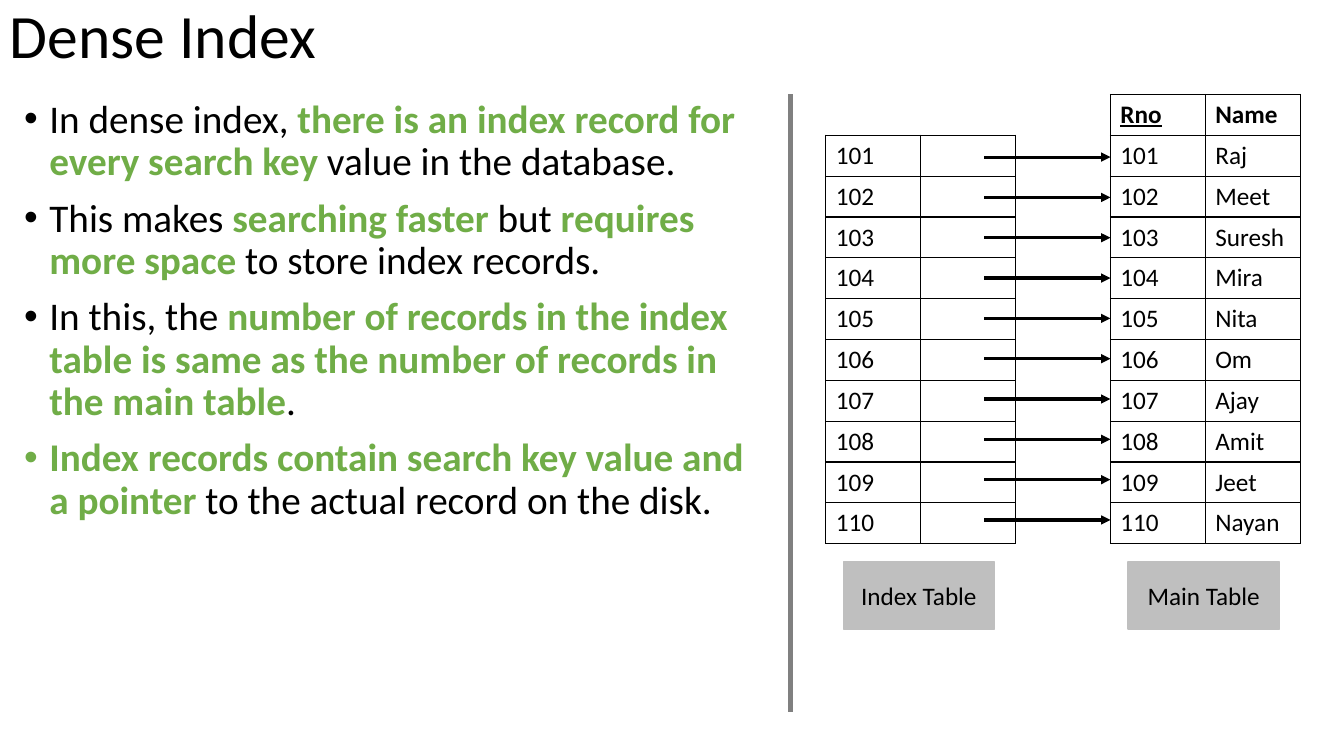
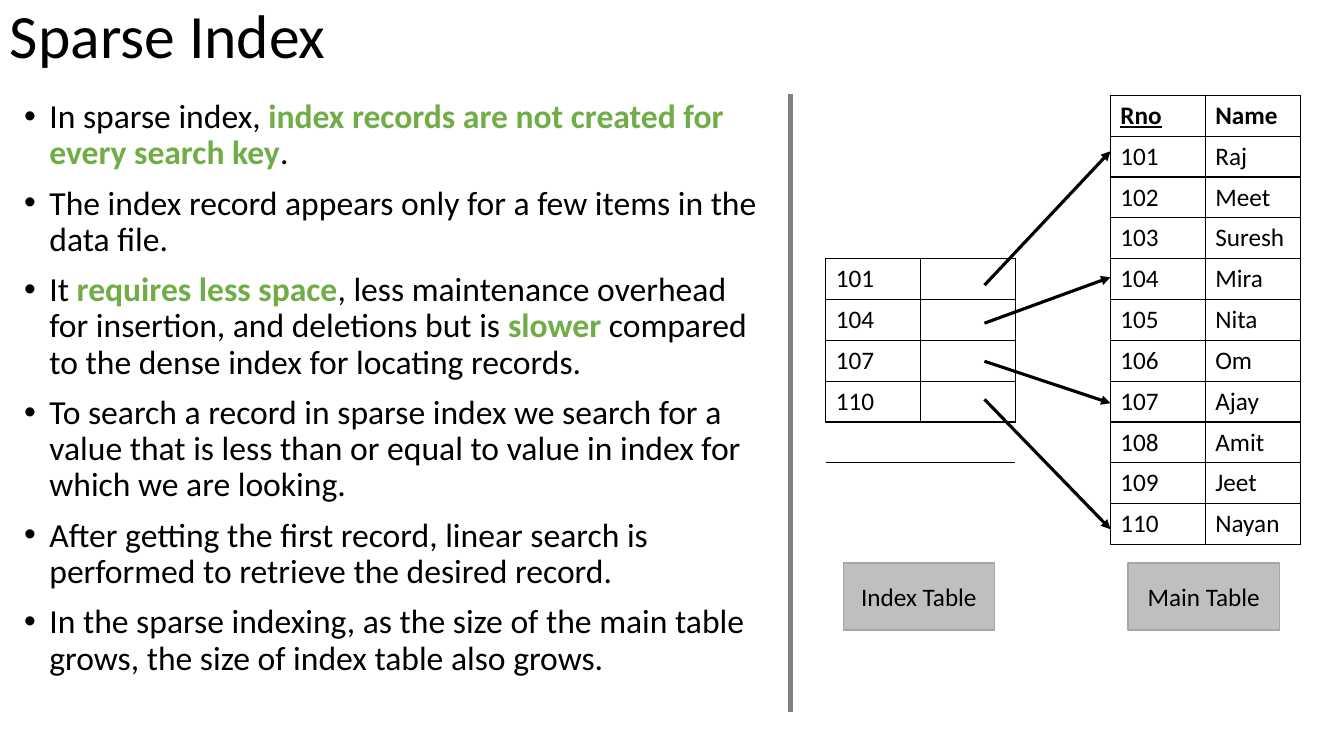
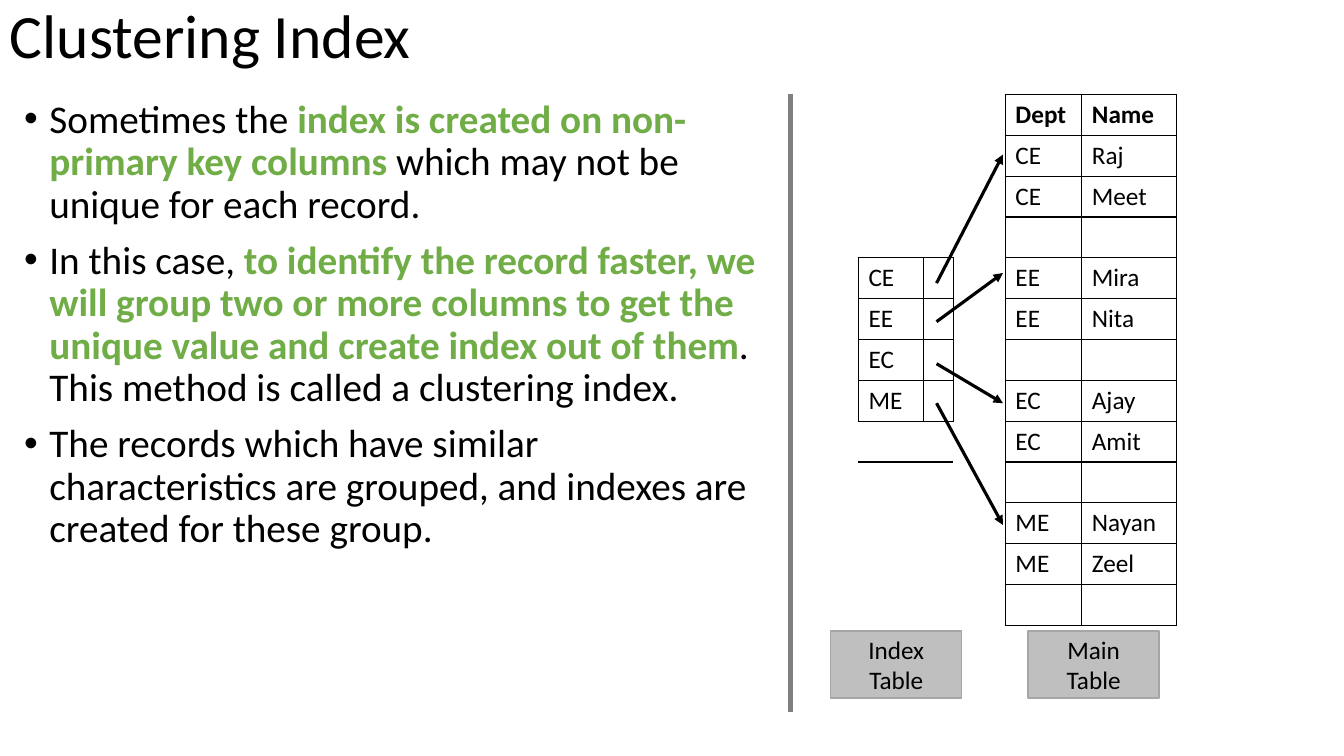
from lxml import etree
from pptx import Presentation
from pptx import util as u
from pptx.dml.color import RGBColor
from pptx.enum import shapes, text
from pptx.oxml import parse_xml
from pptx.oxml.ns import nsdecls, qn

FONT = "Calibri"
BLACK = RGBColor(0x00, 0x00, 0x00)
GREEN = RGBColor(0x70, 0xAD, 0x47)
GRAY = RGBColor(0x80, 0x80, 0x80)
LABEL_FILL = RGBColor(0xBF, 0xBF, 0xBF)
LABEL_EDGE = RGBColor(0xA6, 0xA6, 0xA6)
NO_TABLE_STYLE = "{2D5ABB26-0587-4C30-8999-92F81FD0307C}"
SIDES = {"lnL": (0, -1), "lnR": (0, 1), "lnT": (-1, 0), "lnB": (1, 0)}

presentation = Presentation()
presentation.slide_width = u.Emu(12192000)
presentation.slide_height = u.Emu(6858000)
COLUMN = presentation.slide_width / 160
ROW = presentation.slide_height / 90
TOP = 11.25
TABLE_ROW = 4.865

STUDENTS = [("101", "Raj"), ("102", "Meet"), ("103", "Suresh"), ("104", "Mira"),
            ("105", "Nita"), ("106", "Om"), ("107", "Ajay"), ("108", "Amit"),
            ("109", "Jeet"), ("110", "Nayan")]
DEPARTMENTS = [("CE", "Raj"), ("CE", "Meet"), ("", ""), ("EE", "Mira"), ("EE", "Nita"),
               ("", ""), ("EC", "Ajay"), ("EC", "Amit"), ("", ""), ("ME", "Nayan"),
               ("ME", "Zeel"), ("", "")]

SLIDES = [
    {
        "title": "Dense Index",
        "size": 28,
        "bullets": [
            "In dense index, **there is an index record for every search key** value in the database.",
            "This makes **searching faster **but **requires more space** to store index records.",
            "In this, the **number of records in the index table is same as the number of records in the main table**.",
            "**Index records contain search key value and a pointer **to the actual record on the disk.",
        ],
        "main": [("Rno", "Name")] + STUDENTS,
        "keys": [number for number, name in STUDENTS],
        "first_key_row": 1,
        "table_at": (98.3, TOP),
        "columns": [11.3] * 5,
        "arrow_x": (117.2, 132.2),
        "arrow_y": [(18.7 + 4.8 * i, 18.7 + 4.8 * i) for i in range(10)],
        "label_x": (100.4, 134.3),
        "label_top": 66.9,
        "label_width": 18,
        "label_edge": LABEL_FILL,
    },
    {
        "title": "Sparse Index",
        "size": 24,
        "bullets": [
            "In sparse index, **index records are not created for every search key**.",
            "The index record appears only for a few items in the data file.",
            "It **requires less space**, less maintenance overhead for insertion, and deletions but is **slower **compared to the dense index for locating records.",
            "To search a record in sparse index we search for a value that is less than or equal to value in index for which we are looking.",
            "After getting the first record, linear search is performed to retrieve the desired record.",
            "In the sparse indexing, as the size of the main table grows, the size of index table also grows.",
        ],
        "main": [("Rno", "Name")] + STUDENTS,
        "keys": ["101", "104", "107", "110"],
        "first_key_row": 4,
        "table_at": (98.3, 11.35),
        "columns": [11.3] * 5,
        "arrow_x": (117.2, 132.2),
        "arrow_y": [(33.95 + 4.53 * i, 18 + 15 * i) for i in range(4)],
        "label_x": (100.4, 134.3),
        "label_top": 67,
        "label_width": 18,
        "label_edge": LABEL_EDGE,
    },
    {
        "title": "Clustering Index",
        "size": 28,
        "bullets": [
            "Sometimes the **index is created on non-primary key columns** which may not be unique for each record.",
            "In this case, **to identify the record faster, we will group two or more columns to get the unique value and create index out of them**. This method is called a clustering index.",
            "The records which have similar characteristics are grouped, and indexes are created for these group.",
        ],
        "main": [("Dept", "Name")] + DEPARTMENTS,
        "keys": ["CE", "EE", "EC", "ME"],
        "first_key_row": 4,
        "table_at": (102.2, TOP),
        "columns": [7.7, 3.6, 6.2, 9.1, 11.3],
        "arrow_x": (111.5, 119.4),
        "arrow_y": [(33.7, 18.4), (38.3, 32.5), (43.3, 48), (48, 62.5)],
        "label_x": (98.9, 122.4),
        "label_top": 75.1,
        "label_width": 15.6,
        "label_edge": LABEL_EDGE,
    },
]


def on_grid(x1, y1, x2, y2):
    return [u.Emu(round(v)) for v in (x1 * COLUMN, y1 * ROW, x2 * COLUMN, y2 * ROW)]


def format_run(run, size, color=BLACK, bold=False):
    run.font.name = FONT
    run.font.size = u.Pt(size)
    run.font.color.rgb = color
    run.font.bold = bold


for content in SLIDES:
    slide = presentation.slides.add_slide(presentation.slide_layouts[6])

    title = slide.shapes.add_textbox(*on_grid(0, 0, 160, 9.4))
    title.text_frame.word_wrap = True
    title.text_frame.text = content["title"]
    paragraph = title.text_frame.paragraphs[0]
    paragraph.line_spacing = 0.9
    format_run(paragraph.runs[0], 44)

    body = slide.shapes.add_textbox(*on_grid(1.7, TOP, 90.8, 73.3))
    body.text_frame.word_wrap = True
    for index, bullet in enumerate(content["bullets"]):
        paragraph = body.text_frame.paragraphs[0] if index == 0 else body.text_frame.add_paragraph()
        properties = paragraph._p.get_or_add_pPr()
        properties.set("marL", str(u.Inches(0.25)))
        properties.set("indent", str(-u.Inches(0.25)))
        etree.SubElement(properties, qn("a:buFont"), typeface="Arial")
        etree.SubElement(properties, qn("a:buChar"), char="•")
        paragraph.line_spacing = 0.9
        if index:
            paragraph.space_before = u.Pt(10)
        for part, words in enumerate(bullet.split("**")):
            if words:
                run = paragraph.add_run()
                run.text = words
                highlighted = part % 2 == 1
                format_run(run, content["size"], GREEN if highlighted else BLACK, highlighted)

    first = content["first_key_row"]
    last = first + len(content["keys"])
    cells = []
    for row, record in enumerate(content["main"]):
        entry = (content["keys"][row - first], "") if first <= row < last else (None, None)
        cells.append([*entry, None, *record])

    columns = content["columns"]
    frame = slide.shapes.add_table(
        len(cells), len(columns),
        *on_grid(*content["table_at"], sum(columns), len(cells) * TABLE_ROW))
    table = frame.table
    table.first_row = False
    table.horz_banding = False
    table._tbl.tblPr.find(qn("a:tableStyleId")).text = NO_TABLE_STYLE
    for column, width in zip(table.columns, columns):
        column.width = u.Emu(round(width * COLUMN))
    for row, values in enumerate(cells):
        for column, value in enumerate(values):
            cell = table.cell(row, column)
            properties = cell._tc.get_or_add_tcPr()
            for side, (down, right) in SIDES.items():
                near_row, near_column = row + down, column + right
                inside = 0 <= near_row < len(cells) and 0 <= near_column < len(columns)
                neighbour = cells[near_row][near_column] if inside else None
                open_gap = right and value == "" and neighbour == ""
                if (value is not None or neighbour is not None) and not open_gap:
                    properties.append(parse_xml(
                        f'<a:{side} {nsdecls("a")} w="12700"><a:solidFill>'
                        f'<a:srgbClr val="{BLACK}"/></a:solidFill></a:{side}>'))
            cell.fill.background()
            if value:
                cell.text_frame.text = value
                run = cell.text_frame.paragraphs[0].runs[0]
                format_run(run, 18, bold=row == 0)
                run.font.underline = value == "Rno"

    for name, left in zip(("Index Table", "Main Table"), content["label_x"]):
        label = slide.shapes.add_shape(
            shapes.MSO_SHAPE.RECTANGLE,
            *on_grid(left, content["label_top"], content["label_width"], 8))
        label.shadow.inherit = False
        label.fill.solid()
        label.fill.fore_color.rgb = LABEL_FILL
        label.line.color.rgb = content["label_edge"]
        label.line.width = u.Pt(1)
        label.text_frame.word_wrap = True
        label.text_frame.vertical_anchor = text.MSO_ANCHOR.MIDDLE
        label.text_frame.text = name
        paragraph = label.text_frame.paragraphs[0]
        paragraph.alignment = text.PP_ALIGN.CENTER
        format_run(paragraph.runs[0], 18)

    start_x, end_x = content["arrow_x"]
    lines = [((94.1, TOP, 94.1, 84.75), GRAY, 3, False)]
    for start_y, end_y in content["arrow_y"]:
        lines.append(((start_x, start_y, end_x, end_y), BLACK, 2.25, True))
    for ends, color, weight, has_arrowhead in lines:
        connector = slide.shapes.add_connector(shapes.MSO_CONNECTOR.STRAIGHT, *on_grid(*ends))
        connector.line.color.rgb = color
        connector.line.width = u.Pt(weight)
        if has_arrowhead:
            etree.SubElement(connector.line._get_or_add_ln(), qn("a:tailEnd"), type="triangle")
        etree.SubElement(connector._element.spPr, qn("a:effectLst"))

presentation.save("out.pptx")
